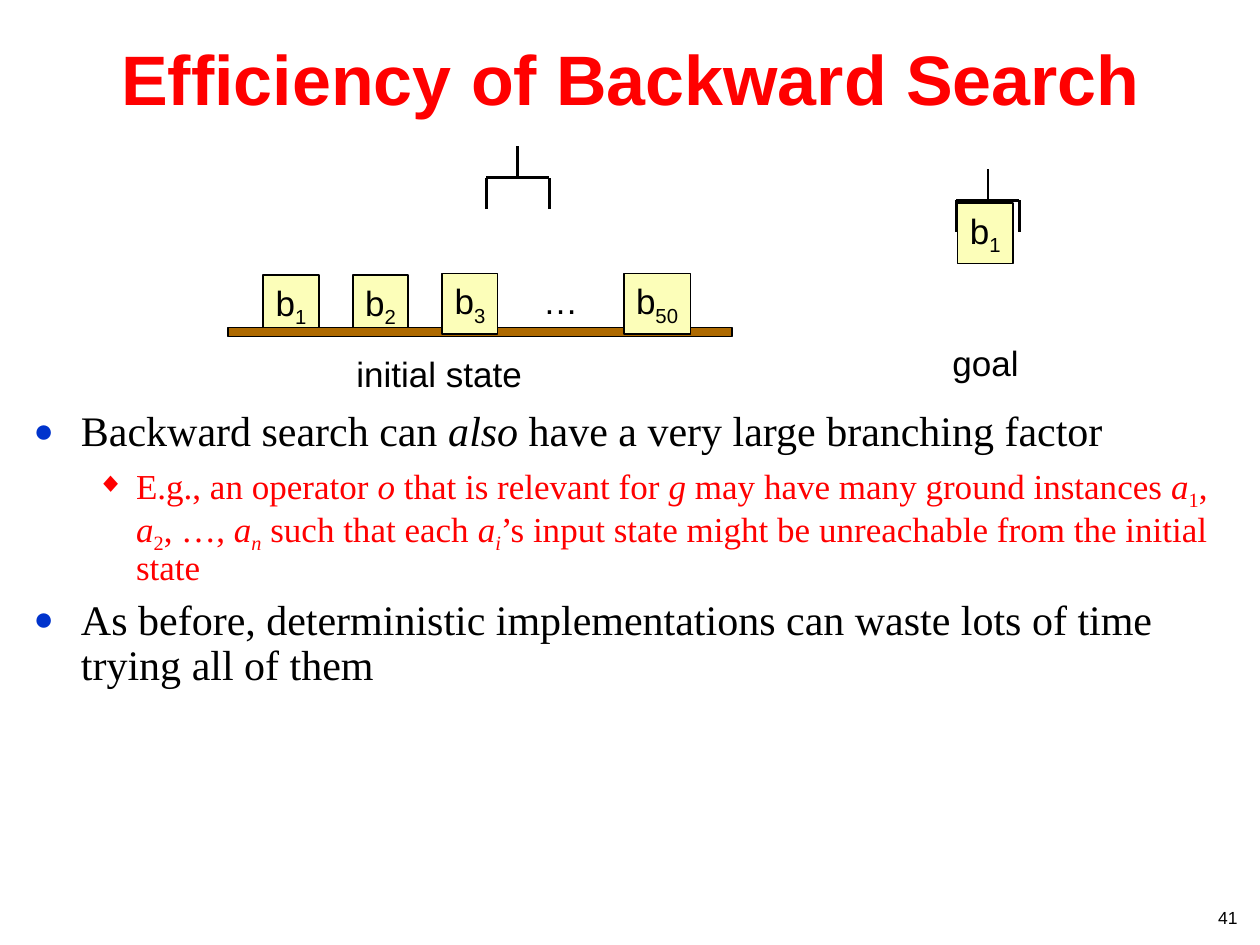
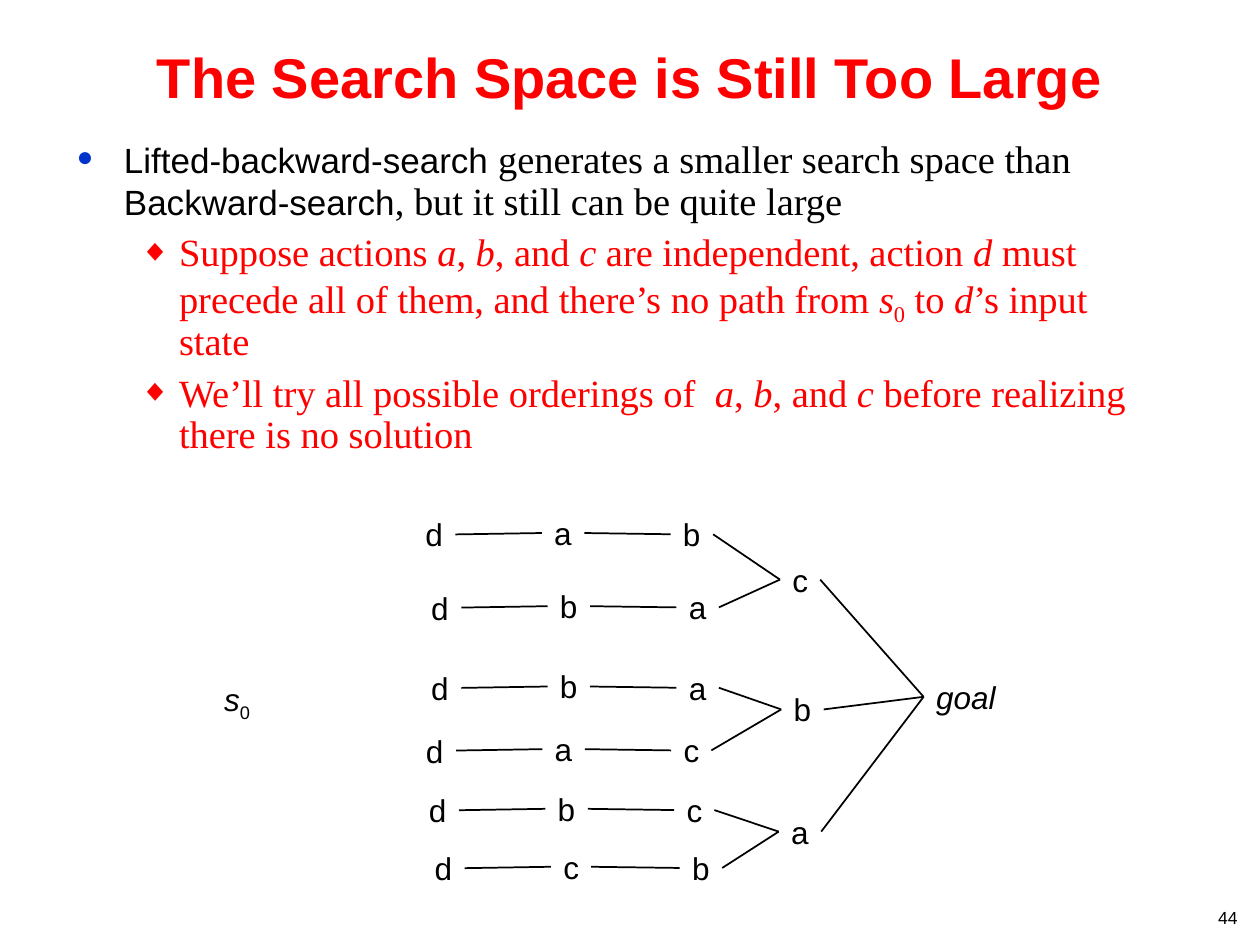
from dataclasses import dataclass
from itertools import pairwise

from lxml.etree import SubElement
from pptx import Presentation
from pptx.dml.color import RGBColor as Rgb
from pptx.enum.shapes import MSO_CONNECTOR as Connector, MSO_SHAPE as Preset
from pptx.enum.text import MSO_ANCHOR as Anchor, PP_ALIGN as Align
from pptx.oxml.ns import qn
from pptx.util import Pt


@dataclass(frozen=True)
class Theme:
    ink: str = "000000"
    accent: str = "FF0000"
    bullet: str = "0033CC"
    block: str = "FCFEB9"
    table: str = "AD6900"
    sans: str = "Arial"
    serif: str = "Times New Roman"
    number_size: float = 10
    node_size: float = 18
    label_size: float = 20
    thin: float = 1
    thick: float = 1.5
    subscript: int = -25000


THEME = Theme()
LABEL = {"name": THEME.sans, "size": THEME.label_size, "color": THEME.ink}
NODE = LABEL | {"size": THEME.node_size}
ITALIC = {"italic": True}
SUB = {"sub": True}
CODE = {"name": THEME.sans, "size": 20}

# Frame settings that leave one-line labels room to stay on their line
LEFT_LINE = {"word_wrap": False, "margin_right": 0}
CENTER_LINE = LEFT_LINE | {"margin_left": 0}

# Per outline level: bullet, its colour, text colour, left margin, hanging indent
LEVELS = [
    ("●", THEME.bullet, THEME.ink, 27, 27),
    ("◆", THEME.accent, THEME.accent, 58.5, 22.5),
]


def apply(target, values):
    for name, value in values.items():
        setattr(target, name, value)


def add_runs(paragraph, pieces, base):
    """Add pieces, each a string or a (string, format changes) pair."""
    for piece in pieces:
        text, changes = (piece, {}) if isinstance(piece, str) else piece
        style = base | changes
        run = paragraph.add_run()
        run.text = text
        if style.pop("sub", False):
            run.font._element.set("baseline", str(THEME.subscript))
        run.font.color.rgb = Rgb.from_string(style.pop("color"))
        apply(run.font, style | {"size": Pt(style["size"])})


def set_label(shape, pieces, style, align=Align.LEFT, **frame):
    """Fill a shape with one paragraph; frame holds text frame settings."""
    line = CENTER_LINE if align == Align.CENTER else LEFT_LINE
    apply(shape.text_frame, frame or line | {"vertical_anchor": Anchor.TOP})
    paragraph = shape.text_frame.paragraphs[0]
    paragraph.alignment = align
    add_runs(paragraph, pieces, style)
    return paragraph


def add_label(slide, box, pieces, style, align=Align.LEFT, **frame):
    label = slide.shapes.add_textbox(*map(Pt, box))
    return set_label(label, pieces, style, align, **frame)


def add_rect(slide, box, fill):
    rect = slide.shapes.add_shape(Preset.RECTANGLE, *map(Pt, box))
    rect.shadow.inherit = False
    rect.fill.solid()
    rect.fill.fore_color.rgb = Rgb.from_string(fill)
    rect.line.color.rgb = Rgb.from_string(THEME.ink)
    rect.line.width = Pt(THEME.thin)
    return rect


def add_line(slide, start, end, width):
    line = slide.shapes.add_connector(Connector.STRAIGHT, *map(Pt, (*start, *end)))
    line.line.color.rgb = Rgb.from_string(THEME.ink)
    line.line.width = Pt(width)
    SubElement(line._element.spPr, qn("a:effectLst"))


def add_frame(deck, title, title_box, title_size, number):
    """Start a slide with its title and page number."""
    slide = deck.slides.add_slide(deck.slide_layouts[6])
    style = {"name": THEME.sans, "color": THEME.accent, "size": title_size, "bold": True}
    add_label(slide, title_box, [title], style, Align.CENTER,
              word_wrap=True, vertical_anchor=Anchor.BOTTOM)
    page = add_label(slide, (676.8, 514.8, 37.4, 18.7), [number],
                     LABEL | {"size": THEME.number_size}, Align.RIGHT, word_wrap=True)
    page.space_before = Pt(6.2)
    return slide


def add_bullet(paragraph, level):
    char, color, _, margin, hang = LEVELS[level]
    props = paragraph._p.get_or_add_pPr()
    props.set("marL", str(Pt(margin)))
    props.set("indent", str(Pt(-hang)))
    SubElement(SubElement(props, qn("a:buClr")), qn("a:srgbClr"), val=color)
    SubElement(props, qn("a:buSzPct"), val="80000")
    SubElement(props, qn("a:buFont"), typeface=THEME.serif)
    SubElement(props, qn("a:buChar"), char=char)


def add_outline(slide, box, points, sizes, gaps):
    """Add bulleted points, (level, pieces) each, with size and gap per level."""
    frame = slide.shapes.add_textbox(*map(Pt, box)).text_frame
    frame.word_wrap = True
    for index, (level, pieces) in enumerate(points):
        paragraph = frame.add_paragraph() if index else frame.paragraphs[0]
        apply(paragraph, {"level": level, "line_spacing": 0.9, "space_before": Pt(gaps[level])})
        add_bullet(paragraph, level)
        style = {"name": THEME.serif, "size": sizes[level], "color": LEVELS[level][2]}
        add_runs(paragraph, pieces, style)


def add_block(slide, left, top, number, width=31.7):
    block = add_rect(slide, (left, top, width, 34.6), THEME.block)
    set_label(block, ["b", (number, SUB)], LABEL, Align.CENTER)


def add_gripper(slide, left, top, side=36):
    """Draw the robot hand: a stem, a bar and two fingers in a square."""
    middle, right = left + side / 2, left + side
    bar, bottom = top + side / 2, top + side
    for start, end in [
        ((left, bottom), (left, bar)),
        ((right, bottom), (right, bar)),
        ((left, bar), (right, bar)),
        ((middle, bar), (middle, top)),
    ]:
        add_line(slide, start, end, THEME.thick)


def add_initial_state(slide, left, top):
    first, pitch, row = left + 20.2, 51.1, top + 73.2
    add_block(slide, first, row + 0.4, "1")
    add_block(slide, first + pitch, row + 0.4, "2")
    add_rect(slide, (left, top + 103.7, 288, 5.2), THEME.table)
    add_block(slide, first + 2 * pitch, row - 0.4, "3")
    add_label(slide, (left + 172.8, row - 0.4, 34.6, 31), ["…"], LABEL, Align.CENTER)
    add_block(slide, left + 226.1, row - 0.4, "50", 38.2)
    add_gripper(slide, left + 147.6, top)
    add_label(slide, (left + 66.3, top + 114.5, 108.7, 31.7), ["initial state"], LABEL)


def add_goal_state(slide, left, top):
    add_block(slide, left + 10.1, top + 19.5, "1")
    add_gripper(slide, left + 9.4, top)
    add_label(slide, (left, top + 95, 51.8, 31.7), ["goal"], LABEL)


class SearchTree:
    """Backward search tree; positions are relative to its left top corner."""

    ORDERINGS = [
        ("dab", 115, 1), ("dba", 118.3, 42.8),
        ("dba", 118.3, 88.7), ("dac", 115.3, 124.5),
        ("dbc", 117, 158.6), ("dcb", 120.2, 191.7),
    ]
    LAST_ACTIONS = [("c", 324.7, 26.8), ("b", 325.4, 101), ("a", 324, 170.8)]
    GOAL = (406.8, 93.8)
    STEP, HEIGHT, MIDDLE = 73.6, 28.8, 14.4

    def __init__(self, slide, left, top):
        self.slide, self.left, self.top = slide, left, top

    def add_node(self, x, y, pieces, width, style=NODE):
        """Add a label and return its left and right joining points."""
        x, y = self.left + x, self.top + y
        add_label(self.slide, (x, y, width, self.HEIGHT), pieces, style)
        return (x, y + self.MIDDLE), (x + width, y + self.MIDDLE)

    def add_action(self, name, x, y):
        return self.add_node(x, y, [name], 23 if name == "c" else 24.3)

    def join(self, before, after):
        add_line(self.slide, before[1], after[0], THEME.thin)

    def add_ordering(self, names, x, y):
        rises = (0, 0.8, 0.1)
        nodes = [self.add_action(name, x + i * self.STEP, y - rises[i])
                 for i, name in enumerate(names)]
        for before, after in pairwise(nodes):
            self.join(before, after)
        return nodes[-1]

    def draw(self):
        self.add_node(0, 95.2, ["s", ("0", SUB | {"italic": False})], 28.8, NODE | ITALIC)
        goal = self.add_node(*self.GOAL, ["goal"], 48.2, NODE | ITALIC)
        for index, action in enumerate(self.LAST_ACTIONS):
            last = self.add_action(*action)
            self.join(last, goal)
            for ordering in self.ORDERINGS[2 * index:2 * index + 2]:
                self.join(self.add_ordering(*ordering), last)


def add_efficiency_slide(deck):
    slide = add_frame(deck, "Efficiency of Backward Search", (12.2, 7.9, 696.2, 64.1), 40, "41")
    points = [
        (0, ["Backward search can ", ("also", ITALIC), " have a very large branching factor"]),
        (1, ["E.g., an operator ", ("o", ITALIC), " that is relevant for ", ("g ", ITALIC),
             "may have many ground instances ", ("a", ITALIC), ("1", SUB), ", ",
             ("a", ITALIC), ("2", SUB), ", …, ", ("a", ITALIC), ("n", ITALIC | SUB),
             " such that each ", ("a", ITALIC), ("i", ITALIC | SUB),
             "’s input state might be unreachable from the initial state"]),
        (0, ["As before, deterministic implementations can waste lots of time "
             "trying all of them"]),
    ]
    add_outline(slide, (12.2, 231.1, 696.2, 182.2), points, sizes=(24, 20), gaps=(6, 5))
    add_initial_state(slide, 130.3, 83.5)
    add_goal_state(slide, 537.1, 96.5)


def add_search_space_slide(deck):
    slide = add_frame(deck, "The Search Space is Still Too Large", (36, 9.4, 648, 56.9), 32, "44")
    actions = [("a", ITALIC), ",", (" b", ITALIC), ", and ", ("c ", ITALIC)]
    points = [
        (0, [("Lifted-backward-search", CODE), " generates a smaller search space than",
             (" ", {"size": 24}), ("Backward-search", CODE),
             ", but it still can be quite large"]),
        (1, ["Suppose actions ", *actions, "are independent, action ", ("d", ITALIC),
             " must precede all of them, and there’s no path from ", ("s", ITALIC), ("0", SUB),
             " to ", ("d", ITALIC), "’s input state"]),
        (1, ["We’ll try all possible orderings of  ", *actions,
             "before realizing there is no solution"]),
    ]
    add_outline(slide, (36.7, 74.9, 627.1, 213.1), points, sizes=(22, 22), gaps=(5.5, 5.5))
    SearchTree(slide, 121, 290).draw()


def main():
    deck = Presentation()
    apply(deck, {"slide_width": Pt(720), "slide_height": Pt(540)})
    add_efficiency_slide(deck)
    add_search_space_slide(deck)
    deck.save("out.pptx")


if __name__ == "__main__":
    main()
